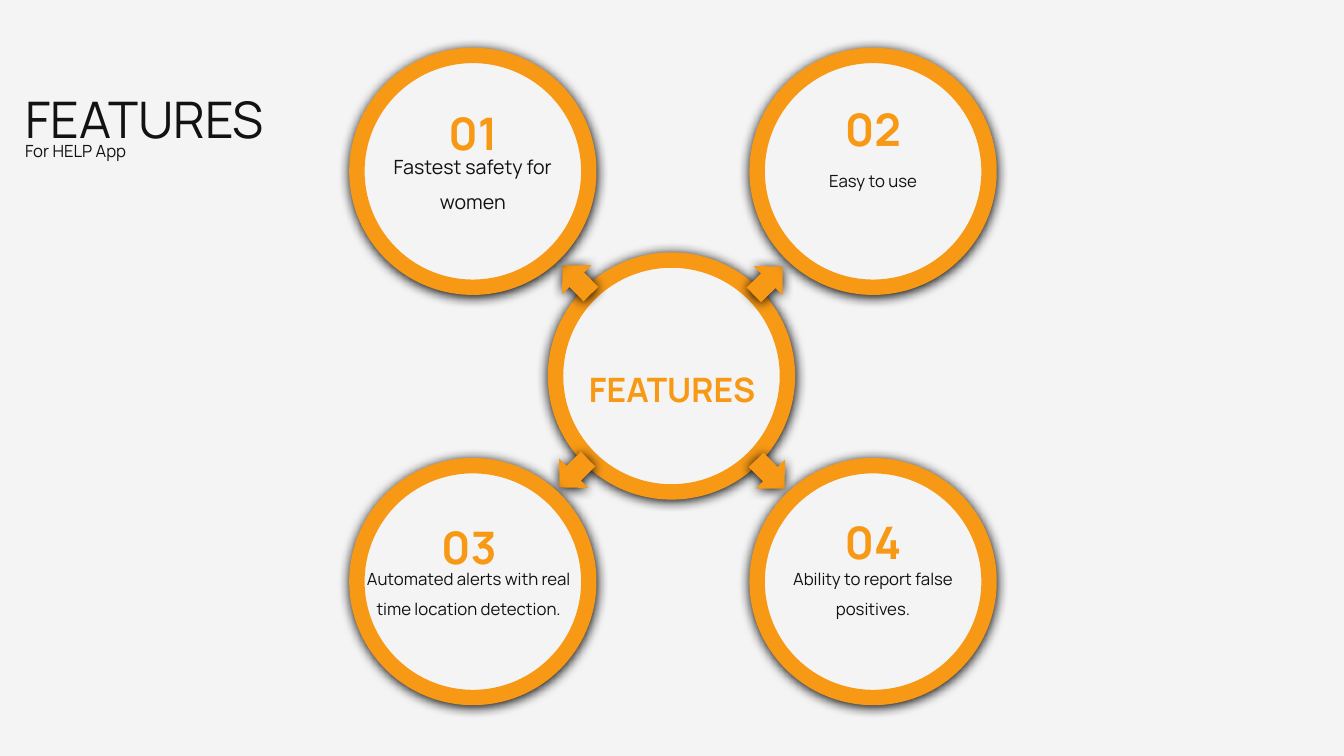
from lxml import etree
from pptx import Presentation
from pptx.dml.color import RGBColor
from pptx.enum import shapes, text
from pptx.oxml import ns
from pptx.util import Inches, Pt

ORANGE = RGBColor(0xF8, 0x99, 0x15)
INK = RGBColor(0x12, 0x12, 0x12)
PAPER = RGBColor(0xF4, 0xF4, 0xF4)
FONT = "Manrope"

DIAMETER = 2.3
HUB = (5.51, 2.58)
HUB_ROTATION = 315.4
COLUMNS = (3.54, 7.51)
ROWS = (0.55, 4.62)
ARROW_SIZE = (0.4, 0.41)

ARROWS = [
    (7.42, 2.58, 315.4),
    (5.52, 2.57, 225.4),
    (7.44, 4.5, 45.4),
    (5.49, 4.49, 135.4),
]

# column, row, number, number top, caption, caption top, caption size, left shift
FEATURES = [
    (0, 0, "01", 0.73, "Fastest safety for women", 1.37, 0.76, 14, 0),
    (1, 0, "02", 0.69, "Easy to use", 1.54, 0.46, 12, 0),
    (0, 1, "03", 4.84, "Automated alerts with real time location detection.", 5.49, 0.67, 12, -0.04),
    (1, 1, "04", 4.79, "Ability to report false positives.", 5.49, 0.67, 12, 0),
]
FEATURES_TITLE = ("FEATURES", "For HELP App")


def add_shadow(shape):
    effects = etree.SubElement(shape._element.spPr, ns.qn("a:effectLst"))
    shadow = etree.SubElement(
        effects, ns.qn("a:outerShdw"), blurRad=str(Pt(8.5)), dist=str(Pt(1)),
        dir="5400000", algn="ctr", rotWithShape="0")
    etree.SubElement(shadow, ns.qn("a:srgbClr"), val="000000")


def add_ring(slide, left, top):
    ring = slide.shapes.add_shape(
        shapes.MSO_SHAPE.OVAL, Inches(left), Inches(top), Inches(DIAMETER), Inches(DIAMETER))
    ring.fill.solid()
    ring.fill.fore_color.rgb = PAPER
    ring.line.color.rgb = ORANGE
    ring.line.width = Pt(11)
    add_shadow(ring)
    return ring


def add_arrow(slide, left, top, rotation):
    width, height = ARROW_SIZE
    arrow = slide.shapes.add_shape(
        shapes.MSO_SHAPE.RIGHT_ARROW, Inches(left), Inches(top), Inches(width), Inches(height))
    arrow.rotation = rotation
    arrow.fill.solid()
    arrow.fill.fore_color.rgb = ORANGE
    arrow.line.fill.background()
    add_shadow(arrow)


def add_label(slide, words, left, top, width, height, size, color=INK, bold=False,
              alignment=text.PP_ALIGN.CENTER):
    box = slide.shapes.add_textbox(Inches(left), Inches(top), Inches(width), Inches(height))
    frame = box.text_frame
    frame.word_wrap = True
    frame.auto_size = text.MSO_AUTO_SIZE.SHAPE_TO_FIT_TEXT
    frame.text = words
    paragraph = frame.paragraphs[0]
    paragraph.alignment = alignment
    paragraph.line_spacing = 1.5
    font = paragraph.runs[0].font
    font.name = FONT
    font.size = Pt(size)
    font.bold = bold
    font.color.rgb = color


def main():
    presentation = Presentation()
    presentation.slide_width = Inches(13.33)
    presentation.slide_height = Inches(7.5)
    slide = presentation.slides.add_slide(presentation.slide_layouts[6])
    slide.background.fill.solid()
    slide.background.fill.fore_color.rgb = PAPER

    add_ring(slide, *HUB).rotation = HUB_ROTATION
    for arrow in ARROWS:
        add_arrow(slide, *arrow)
    title, subtitle = FEATURES_TITLE
    add_label(slide, title, 5.29, 3.41, 2.75, 0.81, 24, ORANGE, True)

    for column, row, number, number_top, caption, top, height, size, shift in FEATURES:
        left = COLUMNS[column]
        add_ring(slide, left, ROWS[row])
        add_label(slide, caption, left + shift, top, DIAMETER, height, size)
        add_label(slide, number, left + shift, number_top, DIAMETER, 0.81, 32, ORANGE, True)

    add_label(slide, title, 0.15, 0.52, 6.08, 1.01, 36, alignment=text.PP_ALIGN.LEFT)
    add_label(slide, subtitle, 0.15, 1.25, 6.08, 0.37, 12, alignment=text.PP_ALIGN.LEFT)
    presentation.save("out.pptx")


if __name__ == "__main__":
    main()
